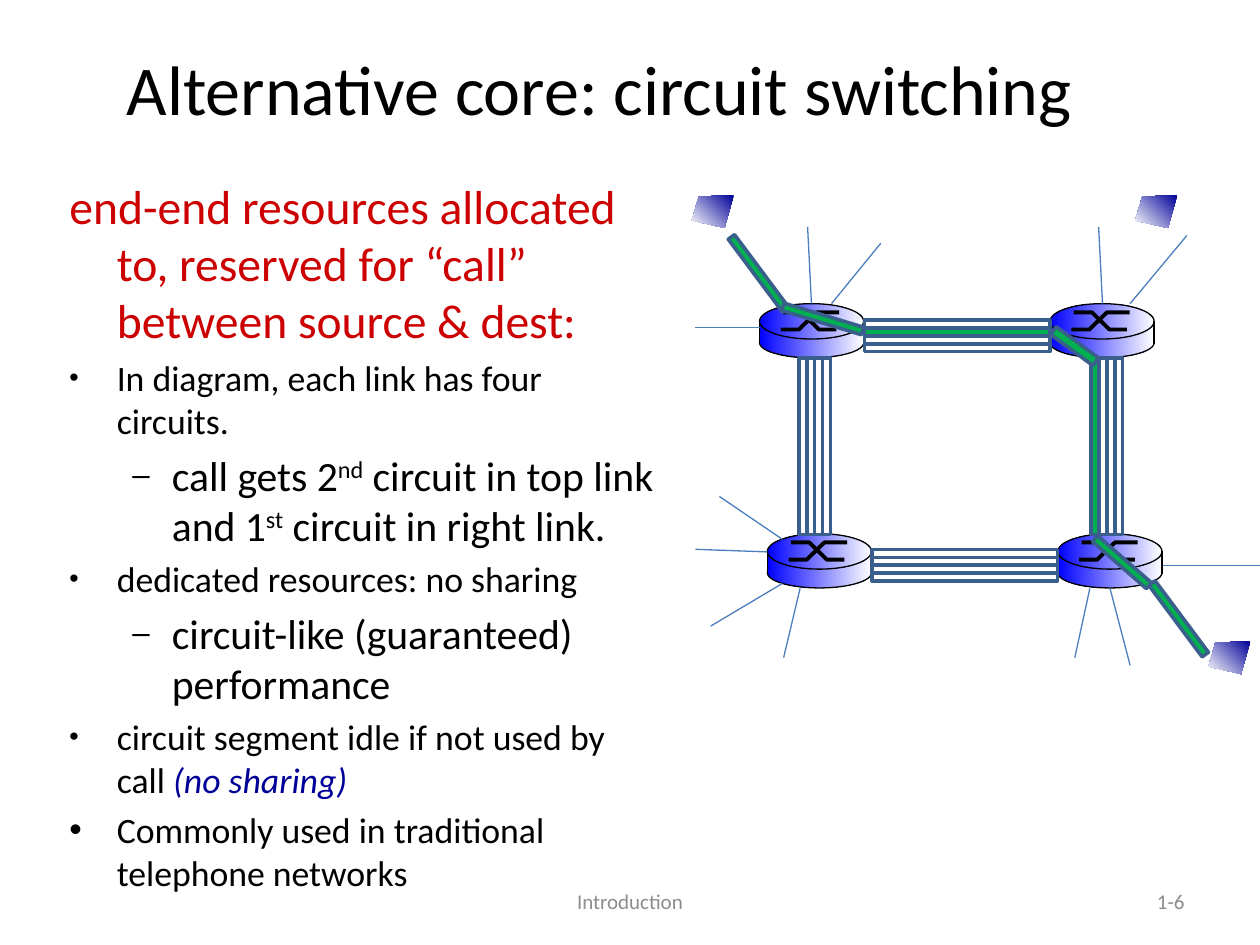
from dataclasses import dataclass

from lxml import etree
from pptx import Presentation
from pptx.dml.color import RGBColor
from pptx.enum import shapes, text
from pptx.oxml import ns
from pptx.util import Pt


@dataclass(frozen=True)
class Theme:
    font: str = "Calibri"
    ink: str = "000000"
    heading: str = "CC0000"
    accent: str = "000099"
    muted: str = "8C8C8C"
    router: str = "0000FF"
    white: str = "FFFFFF"
    call: str = "00B050"
    circuit: str = "3A5F8C"
    spoke: str = "4B7EBC"
    title_size: float = 40
    lead_size: float = 27.2
    item_size: float = 20.4
    detail_size: float = 23.8
    footer_size: float = 12


THEME = Theme()
BAR = 4.5
ROUTER_WIDTH = 59.5
ROUTERS = [(39, 62.5), (205, 62.5), (43.5, 194), (209.5, 194)]
HOSTS = [(0.3, 0.6), (253.7, 0.6), (295.5, 255.5)]
BUNDLES = [
    (99, 72, False, 1),
    (61.5, 93.5, True, None),
    (103.3, 203, False, None),
    (228.5, 93.5, True, 0),
]
SPOKES = [
    (66.5, 18.6, 68.7, 62.5), (108.3, 28, 80.2, 62.5), (2.4, 76.2, 39.2, 76.2),
    (2.4, 202.9, 43.5, 204.4), (16.1, 172.7, 52.1, 197.2), (11.1, 246.8, 52.1, 222.4),
    (52.8, 264.8, 62.2, 225.2), (325, 212.3, 269.6, 212.3), (250.8, 269.2, 239.3, 225.2),
    (219.2, 264.8, 227.8, 225.2), (232.8, 18.6, 235, 62.5), (283.2, 23.6, 250.8, 62.5),
]
CALL_PATH = [
    (12.5, 43, 52, BAR, 53.3), (253, 240.4, 51, BAR, 53.3), (51.4, 69, 47.5, BAR, 16.9),
    (225.6, 208, 41, BAR, 41.1), (204, 84.1, 30, 5.5, 36.3),
]
LEAD, ITEM, DETAIL = "lead", "item", "detail"
STYLES = {
    LEAD: (0, 27, -27, THEME.lead_size, THEME.heading, None),
    ITEM: (0, 27, -27, THEME.item_size, THEME.ink, "•"),
    DETAIL: (1, 58.5, -22.5, THEME.detail_size, THEME.ink, "–"),
}
POINTS = [
    (LEAD, 0, [("end-end resources allocated to, reserved for “call” between source & dest:", "")]),
    (ITEM, 75, [("In diagram, each link has four circuits.", "")]),
    (DETAIL, 75, [("call gets 2", ""), ("nd", "super"), (" circuit in top link and 1", ""),
                  ("st", "super"), (" circuit in right link.", "")]),
    (ITEM, 75, [("dedicated resources: no sharing", "")]),
    (DETAIL, 75, [("circuit-like (guaranteed) performance", "")]),
    (ITEM, 75, [("circuit segment idle if not used by call ", ""), ("(no sharing)", "accent")]),
    (ITEM, 100, [("Commonly used in traditional telephone networks", "")]),
]


def rgb(value):
    return RGBColor.from_string(value)


def add_span(para, words, size, color):
    span = para.add_run()
    span.text = words
    span.font.name = THEME.font
    span.font.size = Pt(size)
    span.font.color.rgb = rgb(color)
    return span


def place(item, box):
    item.left, item.top, item.width, item.height = map(Pt, box)


def paint(shape, fill=None, line=None, weight=0.75, angle=None):
    shape.shadow.inherit = False
    if fill is None:
        shape.fill.background()
    elif angle is None:
        shape.fill.solid()
        shape.fill.fore_color.rgb = rgb(fill)
    else:
        shape.fill.gradient()
        shape.fill.gradient_angle = angle
        for stop, color in zip(shape.fill.gradient_stops, (fill, THEME.white)):
            stop.color.rgb = rgb(color)
    if line is None:
        shape.line.fill.background()
    else:
        shape.line.color.rgb = rgb(line)
        shape.line.width = Pt(weight)


def add_preset(page, kind, box, **look):
    shape = page.shapes.add_shape(kind, *map(Pt, box))
    paint(shape, **look)
    return shape


def add_outline(page, left, top, points, close, **look):
    corners = [(Pt(left + x), Pt(top + y)) for x, y in points]
    builder = page.shapes.build_freeform(*corners[0])
    builder.add_line_segments(corners[1:], close=close)
    paint(builder.convert_to_shape(), **look)


def add_line(page, ends, color):
    line = page.shapes.add_connector(shapes.MSO_CONNECTOR.STRAIGHT, *map(Pt, ends))
    line.line.color.rgb = rgb(color)
    line.line.width = Pt(0.75)
    etree.SubElement(line._element.spPr, ns.qn("a:effectLst"))


def add_title(page, box):
    title = page.shapes.title
    place(title, box)
    frame = title.text_frame
    frame.auto_size = text.MSO_AUTO_SIZE.NONE
    frame.vertical_anchor = text.MSO_ANCHOR.MIDDLE
    para = frame.paragraphs[0]
    para.alignment = text.PP_ALIGN.CENTER
    add_span(para, "Alternative core: circuit switching", THEME.title_size, THEME.ink)


def set_bullet(para, margin, indent, mark, percent):
    props = para._p.get_or_add_pPr()
    props.set("marL", str(Pt(margin)))
    props.set("indent", str(Pt(indent)))
    if mark is None:
        etree.SubElement(props, ns.qn("a:buNone"))
        return
    etree.SubElement(props, ns.qn("a:buSzPct")).set("val", str(percent * 1000))
    etree.SubElement(props, ns.qn("a:buFont")).set("typeface", "Arial")
    etree.SubElement(props, ns.qn("a:buChar")).set("char", mark)


def add_points(page, box):
    body = page.placeholders[1]
    place(body, box)
    frame = body.text_frame
    frame.auto_size = text.MSO_AUTO_SIZE.NONE
    for number, (style, percent, spans) in enumerate(POINTS):
        level, margin, indent, size, color, mark = STYLES[style]
        para = frame.add_paragraph() if number else frame.paragraphs[0]
        para.level = level
        set_bullet(para, margin, indent, mark, percent)
        para.space_before = Pt(round(size * 0.2, 1) if number else 0)
        for words, effect in spans:
            span = add_span(para, words, size, THEME.accent if effect == "accent" else color)
            if effect == "accent":
                span.font.italic = True
            elif effect == "super":
                span._r.get_or_add_rPr().set("baseline", "30000")


def add_footer(page, box, words, align):
    frame = page.shapes.add_textbox(*map(Pt, box)).text_frame
    frame.word_wrap = True
    frame.vertical_anchor = text.MSO_ANCHOR.MIDDLE
    para = frame.paragraphs[0]
    para.alignment = align
    add_span(para, words, THEME.footer_size, THEME.muted)


def add_router(page, left, top):
    kinds = shapes.MSO_SHAPE
    for kind, offset, height, line in (
        (kinds.OVAL, 13.7, 17.3, THEME.ink),
        (kinds.RECTANGLE, 12.2, 10.8, None),
        (kinds.OVAL, 0, 20.2, THEME.ink),
    ):
        add_preset(page, kind, (left, top + offset, ROUTER_WIDTH, height),
                   fill=THEME.router, line=line, angle=0)
    for points in (
        [(12.2, 14.8), (22.5, 14.8), (32.6, 5), (45.6, 5)],
        [(13.6, 5), (24, 5), (34, 14.8), (44, 14.8)],
    ):
        add_outline(page, left, top, points, False, line=THEME.ink, weight=2.25)
    for side in (left, left + ROUTER_WIDTH):
        add_line(page, (side, top + 10, side, top + 23), THEME.ink)


def add_bundle(page, left, top, vertical, busy):
    for number in range(4):
        shift = number * BAR
        box = (left + shift, top, BAR, 101) if vertical else (left, top + shift, 106, BAR)
        add_preset(page, shapes.MSO_SHAPE.RECTANGLE, box, line=THEME.circuit, weight=2,
                   fill=THEME.call if number == busy else None)


def add_network(page, left, top):
    for x, y in HOSTS:
        add_outline(page, left + x, top + y, [(24, 0), (4, 0.7), (0, 14.4), (18.7, 18.7)],
                    True, fill=THEME.accent, angle=225)
    for x, y in ROUTERS:
        add_router(page, left + x, top + y)
    for x, y, vertical, busy in BUNDLES:
        add_bundle(page, left + x, top + y, vertical, busy)
    for x1, y1, x2, y2 in SPOKES:
        add_line(page, (left + x1, top + y1, left + x2, top + y2), THEME.spoke)
    for x, y, width, height, angle in CALL_PATH:
        segment = add_preset(page, shapes.MSO_SHAPE.RECTANGLE, (left + x, top + y, width, height),
                             fill=THEME.call, line=THEME.circuit, weight=2)
        segment.rotation = angle


def main():
    deck = Presentation()
    deck.slide_width, deck.slide_height = Pt(720), Pt(540)
    page = deck.slides.add_slide(deck.slide_layouts[1])
    add_title(page, (36.5, 21.5, 612, 57))
    add_points(page, (32.5, 97.5, 351.5, 366))
    add_footer(page, (246, 500.5, 228, 28.75), "Introduction", text.PP_ALIGN.CENTER)
    add_footer(page, (516, 500.5, 168, 28.75), "1-6", text.PP_ALIGN.RIGHT)
    add_network(page, 395, 111)
    deck.save("out.pptx")


if __name__ == "__main__":
    main()
